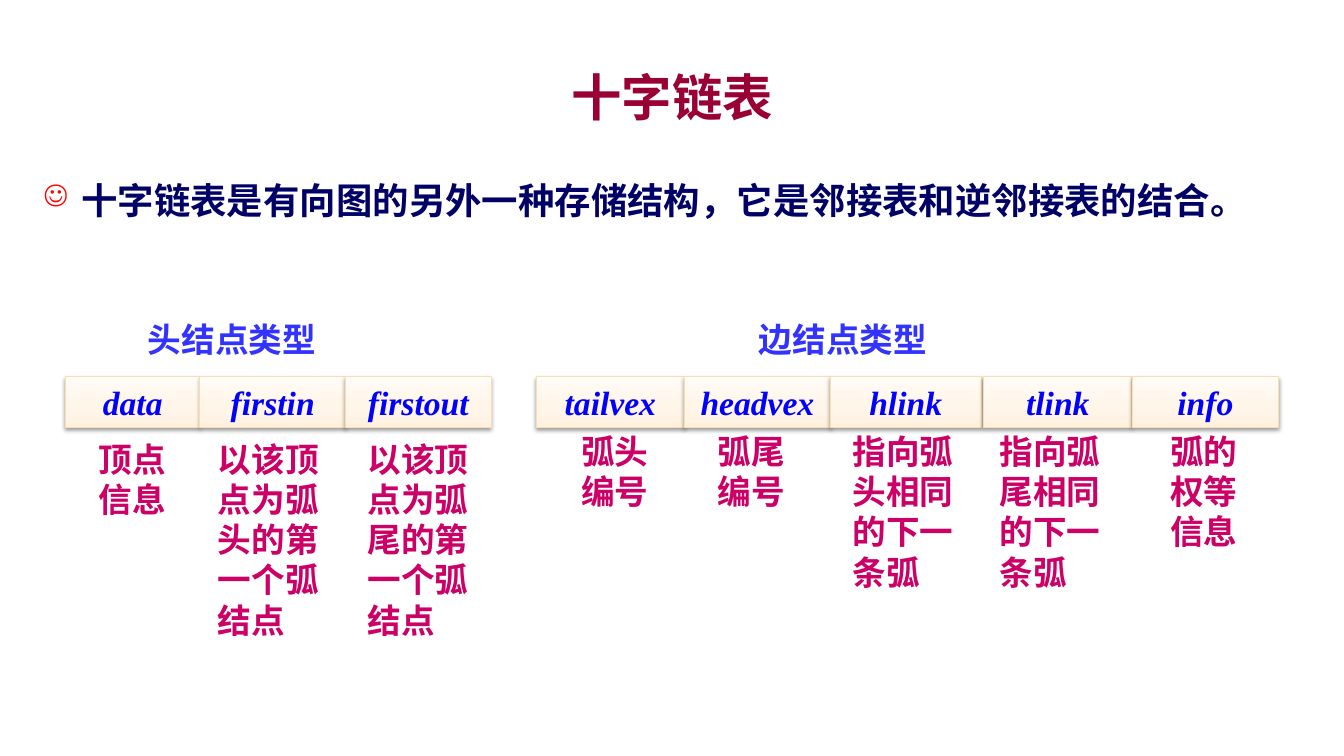
from copy import deepcopy
from math import ceil

from lxml.etree import SubElement
from pptx import Presentation
from pptx.dml.color import RGBColor
from pptx.enum.shapes import MSO_SHAPE
from pptx.enum.text import MSO_ANCHOR, MSO_AUTO_SIZE, PP_ALIGN
from pptx.oxml.ns import qn
from pptx.util import Pt

CHINESE = "Noto Sans CJK SC"
LATIN = "Times New Roman"


def color(hex_text):
    return RGBColor.from_string(hex_text)


def write(shape, text, hex_text, size=24, font=CHINESE, italic=False, frame_format=None):
    frame = shape.text_frame
    for key, value in {"word_wrap": True, **(frame_format or {})}.items():
        setattr(frame, key, value)
    paragraph = frame.paragraphs[0]
    run = paragraph.add_run()
    run.text = text
    for key, value in {"size": Pt(size), "name": font, "bold": True, "italic": italic}.items():
        setattr(run.font, key, value)
    run.font.color.rgb = color(hex_text)
    SubElement(run.font._element, qn("a:ea"), typeface=font)
    return paragraph


presentation = Presentation()
presentation.slide_width, presentation.slide_height = Pt(960), Pt(540)
slide = presentation.slides.add_slide(presentation.slide_layouts[6])
shapes = slide.shapes

# Title
title = shapes.add_textbox(Pt(72), Pt(42), Pt(816), Pt(54))
heading = write(title, "十字链表", "990033", size=36,
                frame_format={"vertical_anchor": MSO_ANCHOR.MIDDLE})
heading.alignment = PP_ALIGN.CENTER

# Definition with a smiley bullet
definition = shapes.add_textbox(Pt(24), Pt(108), Pt(912), Pt(48))
sentence = write(definition, "十字链表是有向图的另外一种存储结构，它是邻接表和逆邻接表的结合。",
                 "000066", size=26)
for key, value in {"line_spacing": 1.5, "space_before": Pt(6), "space_after": Pt(6)}.items():
    setattr(sentence, key, value)
properties = sentence._p.get_or_add_pPr()
properties.set("marL", str(Pt(27)))
properties.set("indent", str(-Pt(27)))
bullet_color = SubElement(properties, qn("a:buClr"))
SubElement(bullet_color, qn("a:srgbClr"), val="FF0000")
SubElement(properties, qn("a:buSzPct"), val="80000")
SubElement(properties, qn("a:buChar"), char="☺")

# Node types: caption, caption left, note top, then
# fields as name, left, width, note, note left, note width
node_types = [
    ("头结点类型", 98.6, 309.6, [
        ("data", 46.8, 96, "顶点信息", 63.4, 63.4),
        ("firstin", 142.8, 104, "以该顶点为弧头的第一个弧结点", 148.6, 93.6),
        ("firstout", 246.8, 104, "以该顶点为弧尾的第一个弧结点", 255.6, 93.6),
    ]),
    ("边结点类型", 535, 304, [
        ("tailvex", 383, 106, "弧头编号", 408, 63.4),
        ("headvex", 489, 104, "弧尾编号", 505.6, 63.4),
        ("hlink", 593, 108, "指向弧头相同的下一条弧", 602, 93.6),
        ("tlink", 702.6, 106, "指向弧尾相同的下一条弧", 707, 103.6),
        ("info", 809, 104, "弧的权等信息", 828.8, 63.4),
    ]),
]
grow = {"auto_size": MSO_AUTO_SIZE.SHAPE_TO_FIT_TEXT}

for caption, caption_left, note_top, fields in node_types:
    caption_box = shapes.add_textbox(Pt(caption_left), Pt(224), Pt(185), Pt(36))
    write(caption_box, caption, "3333FF", frame_format=grow)

    for name, left, width, note, note_left, note_width in fields:
        # Field cell
        cell = shapes.add_shape(MSO_SHAPE.RECTANGLE, Pt(left), Pt(269.2), Pt(width), Pt(36))
        cell.line.color.rgb = color("FBDDB2")
        cell.line.width = Pt(0.75)
        cell.fill.gradient()
        cell.fill.gradient_angle = 90
        stop_list = cell._element.spPr.find(".//" + qn("a:gsLst"))
        stop_list.insert(1, deepcopy(stop_list[0]))
        stops = [(0, "FFF1DF"), (0.35, "FFF5E8"), (1, "FFFBF6")]
        for stop, (position, hex_text) in zip(cell.fill.gradient_stops, stops):
            stop.position = position
            stop.color.rgb = color(hex_text)

        # Soft shadow below the cell
        cell.shadow.inherit = False
        effects = cell._element.spPr.find(qn("a:effectLst"))
        shadow = SubElement(effects, qn("a:outerShdw"), blurRad=str(Pt(3.1)),
                            dist=str(Pt(1.6)), dir="5400000", rotWithShape="0")
        shade = SubElement(shadow, qn("a:srgbClr"), val="000000")
        SubElement(shade, qn("a:alpha"), val="38000")

        label = write(cell, name, "0000FF", font=LATIN, italic=True,
                      frame_format={"word_wrap": False, "vertical_anchor": MSO_ANCHOR.MIDDLE})
        label.alignment = PP_ALIGN.CENTER

        # Explanation under the cell
        characters_per_line = (note_width - 14.4) // 24
        note_height = 7.2 + 29.1 * ceil(len(note) / characters_per_line)
        note_box = shapes.add_textbox(Pt(note_left), Pt(note_top), Pt(note_width), Pt(note_height))
        write(note_box, note, "CC0066", frame_format=grow)

presentation.save("out.pptx")
